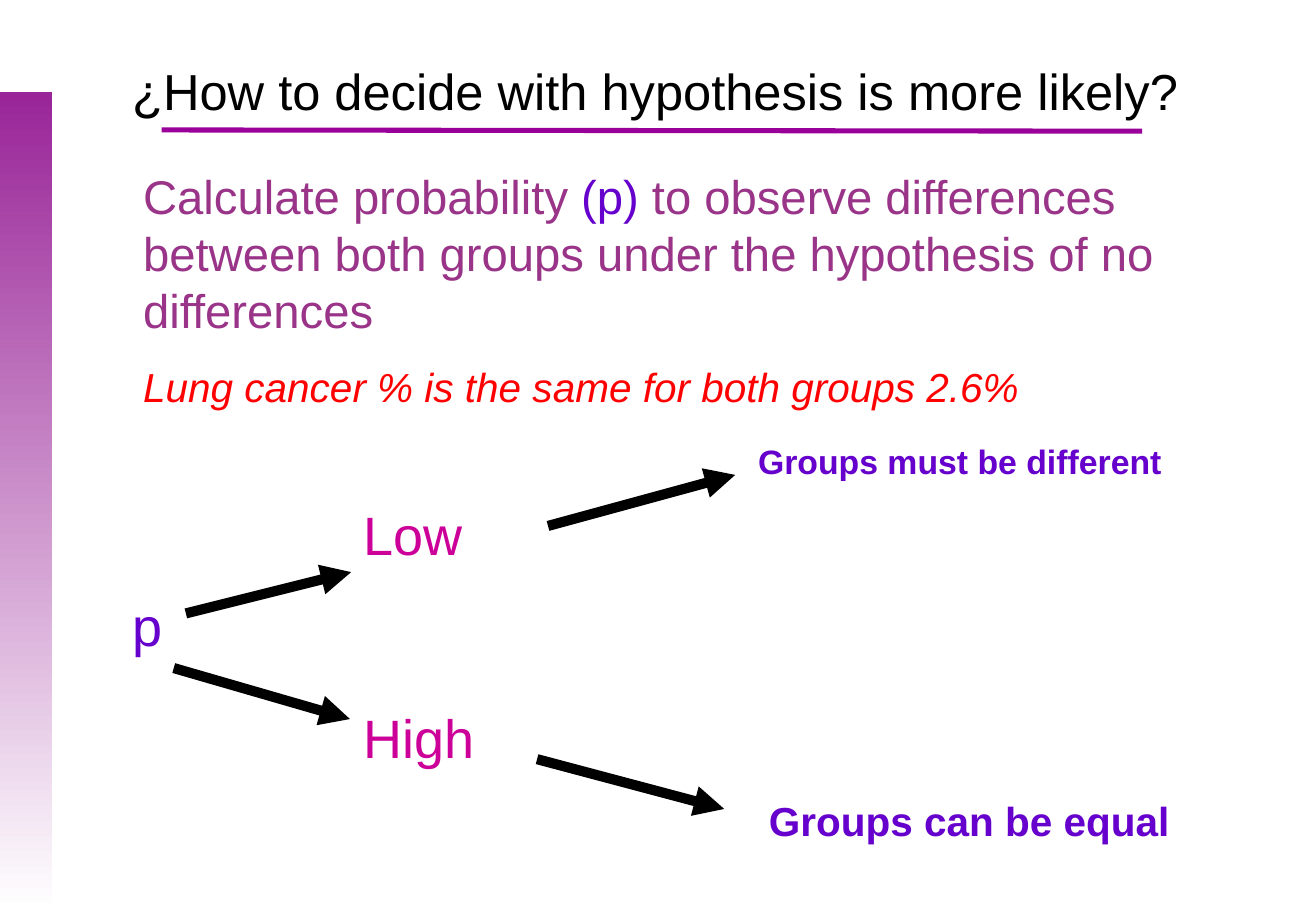
from dataclasses import dataclass

from lxml.etree import SubElement
from pptx import Presentation
from pptx.dml.color import RGBColor
from pptx.enum.shapes import MSO_CONNECTOR, MSO_SHAPE
from pptx.enum.text import MSO_ANCHOR, PP_ALIGN
from pptx.oxml.ns import qn
from pptx.util import Inches, Pt

FONT = "Arial"
BLACK = RGBColor(0x00, 0x00, 0x00)
WHITE = RGBColor(0xFF, 0xFF, 0xFF)
RED = RGBColor(0xFF, 0x00, 0x00)
BAR = RGBColor(0x99, 0x25, 0x98)
RULE = RGBColor(0x99, 0x00, 0x99)
PLUM = RGBColor(0x99, 0x34, 0x89)
VIOLET = RGBColor(0x66, 0x00, 0xCC)
MAGENTA = RGBColor(0xCC, 0x00, 0x99)


@dataclass(frozen=True)
class Run:
    text: str
    size: float
    color: RGBColor
    bold: bool = False
    italic: bool = False


@dataclass(frozen=True)
class TextBox:
    left: float
    top: float
    width: float
    height: float
    paragraphs: tuple[tuple[Run, ...], ...]


@dataclass(frozen=True)
class Line:
    x1: float
    y1: float
    x2: float
    y2: float
    color: RGBColor = BLACK
    width: float = 6
    arrow: bool = True


TITLE = Run("¿How to decide with hypothesis is more likely?", 30, BLACK)

BOXES = (
    TextBox(1.08, 1.33, 9.03, 2.12, (
        (
            Run("Calculate probability ", 28, PLUM),
            Run("(p) ", 28, VIOLET),
            Run("to observe differences between both groups under "
                "the hypothesis of no differences", 28, PLUM),
        ),
        (Run("Lung cancer % is the same for both groups 2.6%", 24, RED, italic=True),),
    )),
    TextBox(0.99, 4.83, 1.9, 0.63, ((Run("p", 32, VIOLET),),)),
    TextBox(2.89, 4.08, 1.9, 0.63, ((Run("Low", 32, MAGENTA),),)),
    TextBox(6.14, 3.58, 4.06, 0.44, ((Run("Groups must be different", 20, VIOLET, bold=True),),)),
    TextBox(2.89, 5.75, 1.9, 0.63, ((Run("High", 32, MAGENTA),),)),
    TextBox(6.23, 6.5, 4.06, 0.51, ((Run("Groups can be equal", 24, VIOLET, bold=True),),)),
)

TITLE_RULE = Line(1.33, 1.07, 9.4, 1.08, RULE, 3, arrow=False)
ARROWS = (
    Line(1.53, 5.05, 2.89, 4.71),
    Line(1.43, 5.5, 2.88, 5.92),
    Line(4.51, 4.33, 6.05, 3.91),
    Line(4.42, 6.25, 5.96, 6.66),
)


def add_run(p, run: Run) -> None:
    r = p.add_run()
    r.text = run.text
    r.font.name = FONT
    r.font.size = Pt(run.size)
    r.font.bold = run.bold
    r.font.italic = run.italic
    r.font.color.rgb = run.color


def add_text_box(s, box: TextBox) -> None:
    sp = s.shapes.add_textbox(
        Inches(box.left), Inches(box.top), Inches(box.width), Inches(box.height))
    tf = sp.text_frame
    tf.word_wrap = True
    for i, runs in enumerate(box.paragraphs):
        p = tf.add_paragraph() if i else tf.paragraphs[0]
        if i:
            p.space_before = Pt(runs[0].size * 0.6)
        for run in runs:
            add_run(p, run)


def add_line(s, line: Line) -> None:
    sp = s.shapes.add_connector(
        MSO_CONNECTOR.STRAIGHT,
        Inches(line.x1), Inches(line.y1), Inches(line.x2), Inches(line.y2))
    sp.line.color.rgb = line.color
    sp.line.width = Pt(line.width)
    if line.arrow:
        SubElement(sp.line._get_or_add_ln(), qn("a:tailEnd"), type="triangle")
    SubElement(sp._element.spPr, qn("a:effectLst"))


def add_sidebar(s) -> None:
    sp = s.shapes.add_shape(
        MSO_SHAPE.RECTANGLE, Inches(0), Inches(0.76), Inches(0.43), Inches(6.74))
    sp.shadow.inherit = False
    sp.line.fill.background()
    sp.fill.gradient()
    sp.fill.gradient_angle = 270
    for stop, color in zip(sp.fill.gradient_stops, (BAR, WHITE)):
        stop.color.rgb = color


def set_title(s) -> None:
    sp = s.shapes.title
    sp.left, sp.top = Inches(-0.02), Inches(0.44)
    sp.width, sp.height = Inches(10.83), Inches(0.79)
    tf = sp.text_frame
    tf.vertical_anchor = MSO_ANCHOR.TOP
    p = tf.paragraphs[0]
    p.alignment = PP_ALIGN.CENTER
    add_run(p, TITLE)


def main() -> None:
    prs = Presentation()
    prs.slide_width, prs.slide_height = Inches(10.83), Inches(7.5)
    s = prs.slides.add_slide(prs.slide_layouts[5])
    add_sidebar(s)
    add_line(s, TITLE_RULE)
    set_title(s)
    for box in BOXES:
        add_text_box(s, box)
    for arrow in ARROWS:
        add_line(s, arrow)
    prs.save("out.pptx")


if __name__ == "__main__":
    main()
